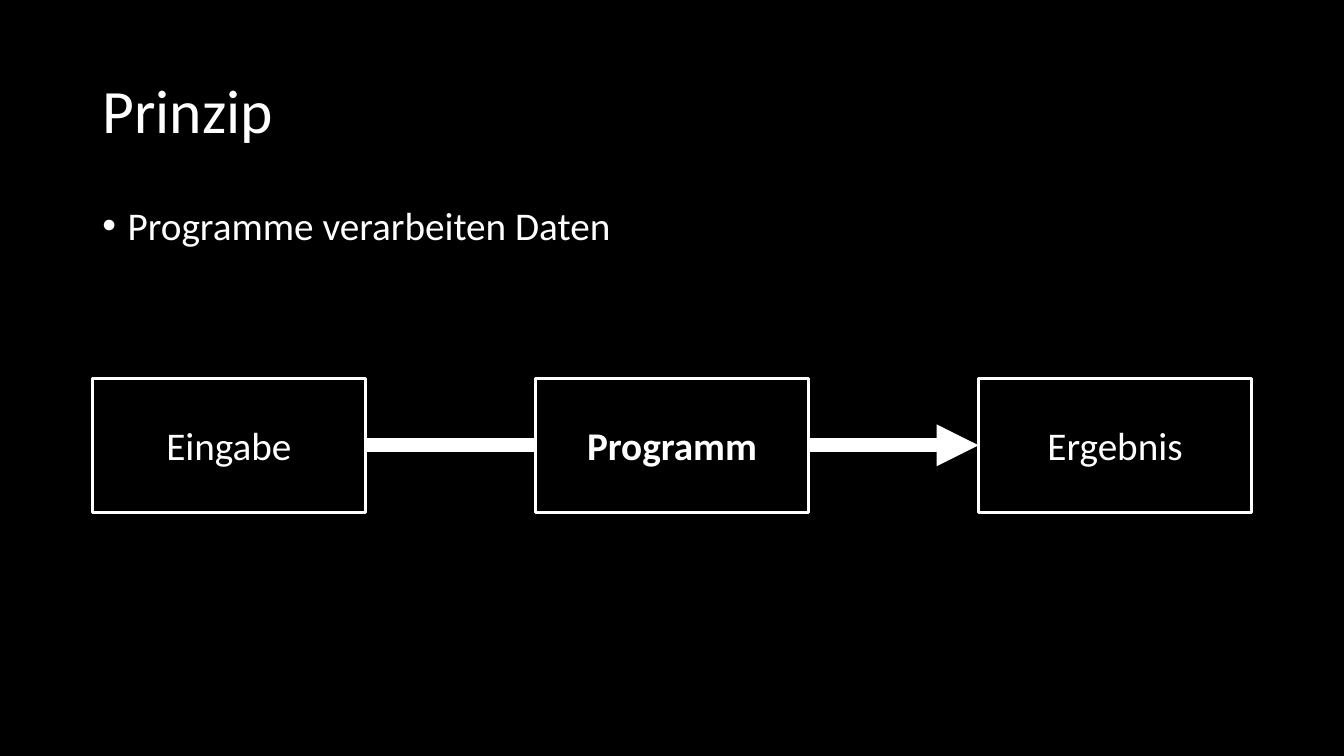
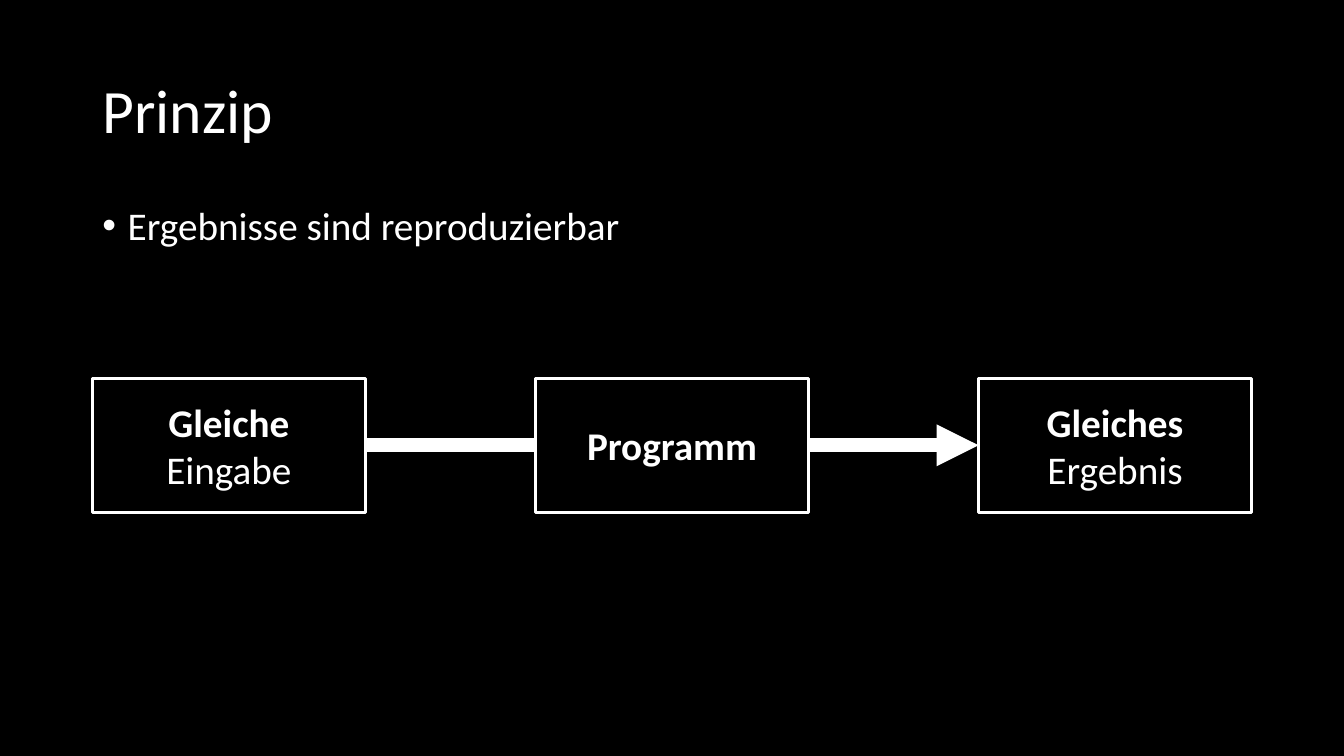
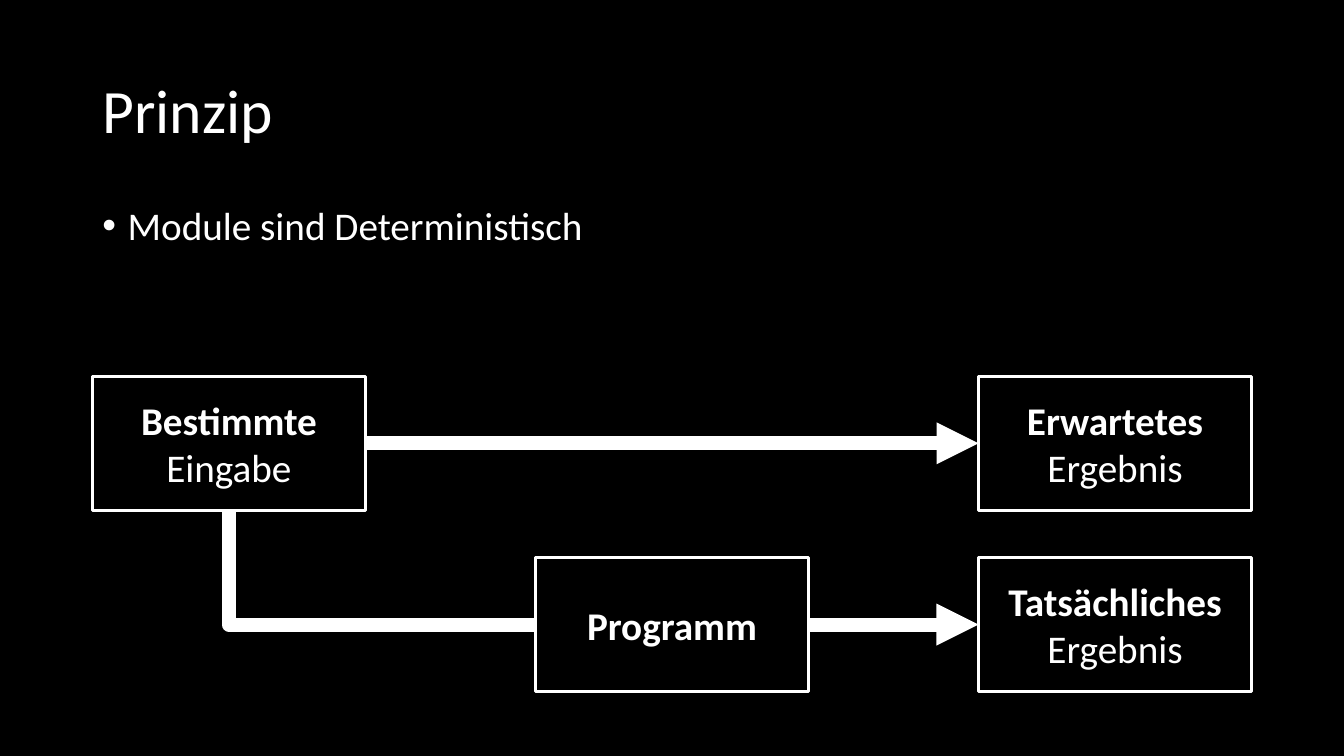
from lxml import etree
from pptx import Presentation
from pptx.dml.color import RGBColor
from pptx.enum.shapes import MSO_CONNECTOR, MSO_SHAPE
from pptx.enum.text import MSO_ANCHOR, PP_ALIGN
from pptx.oxml.ns import qn
from pptx.util import Cm, Pt

STRAIGHT = MSO_CONNECTOR.STRAIGHT
ELBOW = MSO_CONNECTOR.ELBOW
RECTANGLE = MSO_SHAPE.RECTANGLE
MIDDLE = MSO_ANCHOR.MIDDLE
TOP = MSO_ANCHOR.TOP
LEFT = PP_ALIGN.LEFT
CENTER = PP_ALIGN.CENTER

BLACK = RGBColor(0x00, 0x00, 0x00)
WHITE = RGBColor(0xFF, 0xFF, 0xFF)
FONT = "Calibri"
TITLE_ONLY = 5
LEFT_SIDE, BOTTOM_SIDE, RIGHT_SIDE = 1, 2, 3

MARGIN = Cm(2.33)
CONTENT_WIDTH = Cm(29.21)
BOX_WIDTH = Cm(6.88)
BOX_HEIGHT = Cm(3.38)
COLUMN_STEP = (CONTENT_WIDTH - BOX_WIDTH) // 2
SINGLE_ROW = Cm(9.53)
UPPER_ROW = Cm(9.48)
LOWER_ROW = Cm(14.05)


def write(para, text, size=28, bold=False, align=LEFT, spacing=1.0):
    para.alignment = align
    para.line_spacing = spacing
    span = para.add_run()
    span.text = text
    span.font.name = FONT
    span.font.size = Pt(size)
    span.font.bold = bold
    span.font.color.rgb = WHITE


class Slides:
    def __init__(self):
        self.deck = Presentation()
        self.deck.slide_width = Cm(33.87)
        self.deck.slide_height = Cm(19.05)
        background = self.deck.slide_master.background.fill
        background.solid()
        background.fore_color.rgb = BLACK
        self.page = None

    def add_page(self, title, statement):
        self.page = self.deck.slides.add_slide(self.deck.slide_layouts[TITLE_ONLY])
        heading = self.page.shapes.title
        heading.left, heading.top = MARGIN, Cm(1.02)
        heading.width, heading.height = CONTENT_WIDTH, Cm(3.68)
        heading.text_frame.vertical_anchor = MIDDLE
        write(heading.text_frame.paragraphs[0], title, size=44, spacing=0.9)
        self.bullet(statement)

    def bullet(self, text):
        box = self.page.shapes.add_textbox(MARGIN, Cm(5.08), CONTENT_WIDTH, Cm(12.09))
        box.text_frame.word_wrap = True
        box.text_frame.vertical_anchor = TOP
        para = box.text_frame.paragraphs[0]
        write(para, text, spacing=0.9)
        para.space_before = Pt(10)
        properties = para._p.get_or_add_pPr()
        indent = Cm(0.64)
        properties.set("marL", str(indent))
        properties.set("indent", str(-indent))
        etree.SubElement(properties, qn("a:buFont")).set("typeface", "Arial")
        etree.SubElement(properties, qn("a:buChar")).set("char", "•")

    def box(self, column, top, plain="", strong="", filled=False):
        box = self.page.shapes.add_shape(
            RECTANGLE, MARGIN + column * COLUMN_STEP, top, BOX_WIDTH, BOX_HEIGHT)
        box.shadow.inherit = False
        if filled:
            box.fill.solid()
            box.fill.fore_color.rgb = BLACK
        else:
            box.fill.background()
        box.line.color.rgb = WHITE
        box.line.width = Pt(2)
        frame = box.text_frame
        frame.word_wrap = True
        frame.vertical_anchor = MIDDLE
        para = frame.paragraphs[0]
        if strong:
            write(para, strong, bold=True, align=CENTER)
        if strong and plain:
            para.add_line_break()
        if plain:
            write(para, plain, align=CENTER)
        return box

    def program(self, top):
        self.box(1, top, strong="Programm", filled=True)

    def arrow(self, source, target, kind=STRAIGHT, start=RIGHT_SIDE):
        arrow = self.page.shapes.add_connector(kind, 0, 0, 0, 0)
        arrow.begin_connect(source, start)
        arrow.end_connect(target, LEFT_SIDE)
        arrow.line.color.rgb = WHITE
        arrow.line.width = Pt(10)
        etree.SubElement(arrow.line._get_or_add_ln(), qn("a:tailEnd")).set("type", "triangle")
        etree.SubElement(arrow._element.spPr, qn("a:effectLst"))
        return arrow

    def corner_arrow(self, source, target):
        arrow = self.arrow(source, target, ELBOW, BOTTOM_SIDE)
        properties = arrow._element.spPr
        properties.find(qn("a:prstGeom")).set("prst", "bentConnector2")
        width, height = arrow.width, arrow.height
        arrow.left += (width - height) // 2
        arrow.top += (height - width) // 2
        arrow.width, arrow.height = height, width
        frame = properties.find(qn("a:xfrm"))
        frame.set("rot", str(270 * 60000))
        frame.set("flipH", "1")

    def process(self, statement, input_strong="", result_strong=""):
        self.add_page("Prinzip", statement)
        source = self.box(0, SINGLE_ROW, "Eingabe", input_strong)
        result = self.box(2, SINGLE_ROW, "Ergebnis", result_strong)
        self.arrow(source, result)
        self.program(SINGLE_ROW)

    def comparison(self, statement):
        self.add_page("Prinzip", statement)
        source = self.box(0, UPPER_ROW, "Eingabe", "Bestimmte")
        expected = self.box(2, UPPER_ROW, "Ergebnis", "Erwartetes")
        actual = self.box(2, LOWER_ROW, "Ergebnis", "Tatsächliches")
        self.corner_arrow(source, actual)
        self.arrow(source, expected)
        self.program(LOWER_ROW)


def main():
    slides = Slides()
    slides.process("Programme verarbeiten Daten")
    slides.process("Ergebnisse sind reproduzierbar", "Gleiche", "Gleiches")
    slides.comparison("Module sind Deterministisch")
    slides.deck.save("out.pptx")


if __name__ == "__main__":
    main()
